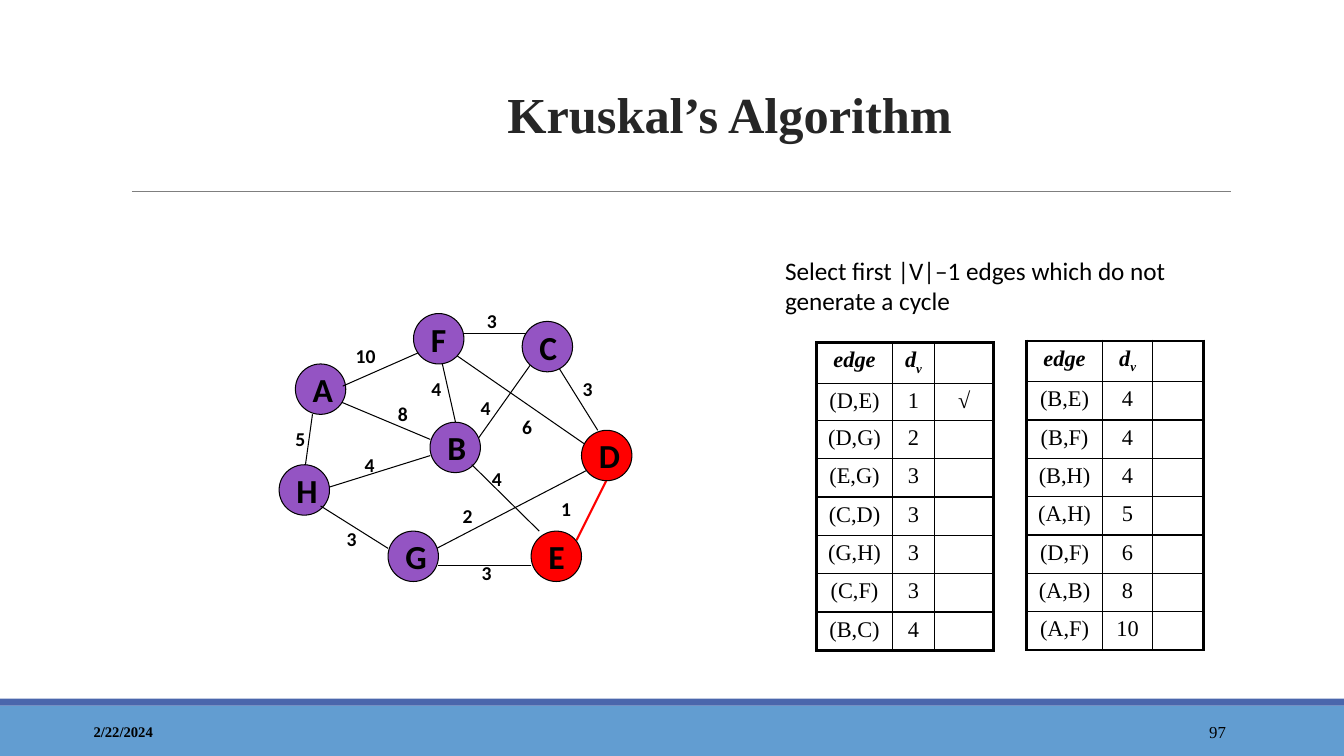
from dataclasses import dataclass

from lxml import etree
from pptx import Presentation
from pptx.dml.color import RGBColor
from pptx.enum.shapes import MSO_CONNECTOR, MSO_SHAPE
from pptx.enum.text import MSO_ANCHOR, PP_ALIGN
from pptx.oxml.ns import qn
from pptx.util import Pt

LEFT, CENTER, RIGHT = PP_ALIGN.LEFT, PP_ALIGN.CENTER, PP_ALIGN.RIGHT
TOP, MIDDLE, BOTTOM = MSO_ANCHOR.TOP, MSO_ANCHOR.MIDDLE, MSO_ANCHOR.BOTTOM
SANS, SERIF = "Calibri", "Times New Roman"
BLACK, RED, PURPLE = "000000", "FF0000", "9454C3"
NODE_SIZE = 36
ROW_HEIGHT = 27.4
THIN, THICK = 1, 2.25


@dataclass
class Node:
    name: str
    left: float
    top: float
    color: str = PURPLE


@dataclass
class Edge:
    weight: str
    start: tuple[float, float]
    end: tuple[float, float]
    label: tuple[float, float]
    label_width: float = 24
    color: str = BLACK
    width: float = 0.75
    in_front: bool = False


@dataclass
class EdgeTable:
    left: float
    top: float
    column_widths: tuple[float, ...]
    rows: list[tuple[str, str, str]]
    checked_row_height: float = ROW_HEIGHT


NODES = [
    Node("A", 211, 260),
    Node("H", 199.4, 332),
    Node("B", 307.2, 301.6),
    Node("F", 295.4, 224),
    Node("E", 379.4, 379.4, RED),
    Node("D", 415.4, 307.4, RED),
    Node("C", 373, 229.6),
    Node("G", 277.2, 379.4),
]

EDGES = [
    Edge("1", (442.1, 325.4), (411.8, 385.9), (393.8, 351.4), 37.4, RED, 1.5),
    Edge("4", (313.2, 247.7), (325.4, 301.7), (301, 265.7)),
    Edge("4", (337, 319.7), (379.4, 259.9), (336.2, 279.4)),
    Edge("6", (421.2, 319.7), (325.4, 253.4), (365.8, 293), 36.7),
    Edge("4", (229, 349.9), (307.4, 325.4), (253.4, 319.7)),
    Edge("2", (301, 397.4), (427, 331.9), (323.3, 356.4)),
    Edge("5", (217.4, 337.7), (223.2, 295.9), (203.8, 301.7)),
    Edge("8", (235.4, 283.7), (307.4, 313.9), (277.2, 283.7)),
    Edge("3", (329, 238.3), (376.6, 238.3), (340.6, 217.4)),
    Edge("3", (397.4, 259.9), (427, 307.4), (409, 265.7)),
    Edge("4", (337, 331.9), (385.2, 379.4), (344.2, 329.8), 37.4, in_front=True),
    Edge("3", (379.4, 403.9), (313.2, 403.9), (337, 397.4), in_front=True),
    Edge("3", (277.2, 391.7), (229, 361.4), (240.5, 373), in_front=True),
    Edge("10", (244.8, 275.8), (298.8, 252), (247, 241.9), 37.4, in_front=True),
]

EDGE_TABLES = [
    EdgeTable(583.4, 244.8, (54, 30.2, 42), [
        ("(D,E)", "1", "√"), ("(D,G)", "2", ""), ("(E,G)", "3", ""),
        ("(C,D)", "3", ""), ("(G,H)", "3", ""), ("(C,F)", "3", ""),
        ("(B,C)", "4", ""),
    ], checked_row_height=25.2),
    EdgeTable(733.4, 243.6, (54, 36, 36), [
        ("(B,E)", "4", ""), ("(B,F)", "4", ""), ("(B,H)", "4", ""),
        ("(A,H)", "5", ""), ("(D,F)", "6", ""), ("(A,B)", "8", ""),
        ("(A,F)", "10", ""),
    ]),
]


def rgb(color: str) -> RGBColor:
    return RGBColor.from_string(color)


def style_font(paragraph, size: float, face: str, color: str = BLACK,
               bold: bool = False, italic: bool = False) -> None:
    font = paragraph.font
    font.size, font.name = Pt(size), face
    font.bold, font.italic = bold, italic
    font.color.rgb = rgb(color)


def add_text(slide, box: tuple[float, float, float, float], text: str, size: float,
             face: str = SANS, color: str = BLACK, bold: bool = False,
             align=LEFT, anchor=TOP):
    """Add a wrapping text box and return its paragraph."""
    frame = slide.shapes.add_textbox(*map(Pt, box)).text_frame
    frame.word_wrap = True
    frame.vertical_anchor = anchor
    paragraph = frame.paragraphs[0]
    paragraph.text = text
    paragraph.alignment = align
    style_font(paragraph, size, face, color, bold)
    return paragraph


def add_filled(slide, preset, box: tuple[float, float, float, float], color: str):
    """Add a preset shape with a plain fill and no outline."""
    shape = slide.shapes.add_shape(preset, *map(Pt, box))
    shape.shadow.inherit = False
    shape.fill.solid()
    shape.fill.fore_color.rgb = rgb(color)
    shape.line.fill.background()
    return shape


def add_line(slide, start: tuple[float, float], end: tuple[float, float],
             color: str, width: float) -> None:
    line = slide.shapes.add_connector(
        MSO_CONNECTOR.STRAIGHT, *map(Pt, start), *map(Pt, end))
    line.line.color.rgb = rgb(color)
    line.line.width = Pt(width)
    etree.SubElement(line._element.spPr, qn("a:effectLst"))


def add_node(slide, node: Node) -> None:
    circle = add_filled(slide, MSO_SHAPE.OVAL,
                        (node.left, node.top, NODE_SIZE, NODE_SIZE), node.color)
    circle.line.color.rgb = rgb(BLACK)
    circle.line.width = Pt(0.75)
    circle.text_frame.vertical_anchor = MIDDLE
    paragraph = circle.text_frame.paragraphs[0]
    paragraph.text = node.name
    paragraph.alignment = LEFT
    style_font(paragraph, 24, SANS, bold=True)


def set_borders(cell, widths: dict[str, float]) -> None:
    properties = cell._tc.get_or_add_tcPr()
    for position, (side, width) in enumerate(widths.items()):
        border = etree.Element(qn(f"a:{side}"), w=str(Pt(width)))
        fill = etree.SubElement(border, qn("a:solidFill"))
        etree.SubElement(fill, qn("a:srgbClr"), val=BLACK)
        properties.insert(position, border)


def add_edge_table(slide, spec_table: EdgeTable) -> None:
    rows = [("edge", "d", ""), *spec_table.rows]
    widths = spec_table.column_widths
    heights = [ROW_HEIGHT] * len(rows)
    heights[1] = spec_table.checked_row_height
    table = slide.shapes.add_table(
        len(rows), len(widths), Pt(spec_table.left), Pt(spec_table.top),
        Pt(sum(widths)), Pt(sum(heights))).table
    table.first_row = table.horz_banding = False
    for column, width in zip(table.columns, widths):
        column.width = Pt(width)
    for r, (values, height) in enumerate(zip(rows, heights)):
        table.rows[r].height = Pt(height)
        for c, value in enumerate(values):
            cell = table.cell(r, c)
            cell.fill.background()
            set_borders(cell, {
                "lnL": THICK if c == 0 else THIN,
                "lnR": THICK if c == len(widths) - 1 else THIN,
                "lnT": THICK if r == 0 else THIN,
                "lnB": THICK if r == len(rows) - 1 else THIN,
            })
            paragraph = cell.text_frame.paragraphs[0]
            paragraph.text = value
            paragraph.alignment = CENTER
            emphasis = r == 0 or value == "√"
            style_font(paragraph, 16, SERIF, bold=emphasis, italic=emphasis)
            if not value:
                etree.SubElement(paragraph._p, qn("a:endParaRPr"), sz="1600")
    subscript = table.cell(0, 1).text_frame.paragraphs[0].add_run()
    subscript.text = "v"
    subscript.font._element.set("baseline", "-25000")


def main() -> None:
    deck = Presentation()
    deck.slide_width, deck.slide_height = Pt(960), Pt(540)
    slide = deck.slides.add_slide(deck.slide_layouts[6])

    add_filled(slide, MSO_SHAPE.RECTANGLE, (0, 504, 960, 36), "629DD1")
    add_filled(slide, MSO_SHAPE.RECTANGLE, (0, 499, 960, 5), "4A66AC")
    add_line(slide, (94.3, 136.8), (879.1, 136.8), "7F7F7F", 0.75)
    add_text(slide, (59.8, 508.3, 216, 28.8), "2/22/2024", 10.5, SERIF,
             bold=True, anchor=MIDDLE)
    add_text(slide, (779.8, 508.3, 103, 28.8), "97", 12, SERIF,
             align=RIGHT, anchor=MIDDLE)
    title = add_text(slide, (125.3, 29.5, 792, 76.3), "Kruskal’s Algorithm", 36, SERIF,
                     "262626", True, CENTER, BOTTOM)
    title.line_spacing = 1.1
    add_text(slide, (553.7, 178.6, 318.2, 55.4),
             "Select first |V|–1 edges which do not generate a cycle", 18)

    for edge_table in EDGE_TABLES:
        add_edge_table(slide, edge_table)
    for edge in EDGES:
        if not edge.in_front:
            add_line(slide, edge.start, edge.end, edge.color, edge.width)
    for node in NODES:
        add_node(slide, node)
    for edge in EDGES:
        if edge.in_front:
            add_line(slide, edge.start, edge.end, edge.color, edge.width)
        add_text(slide, (*edge.label, edge.label_width, 24), edge.weight, 14, bold=True)

    deck.save("out.pptx")


if __name__ == "__main__":
    main()
